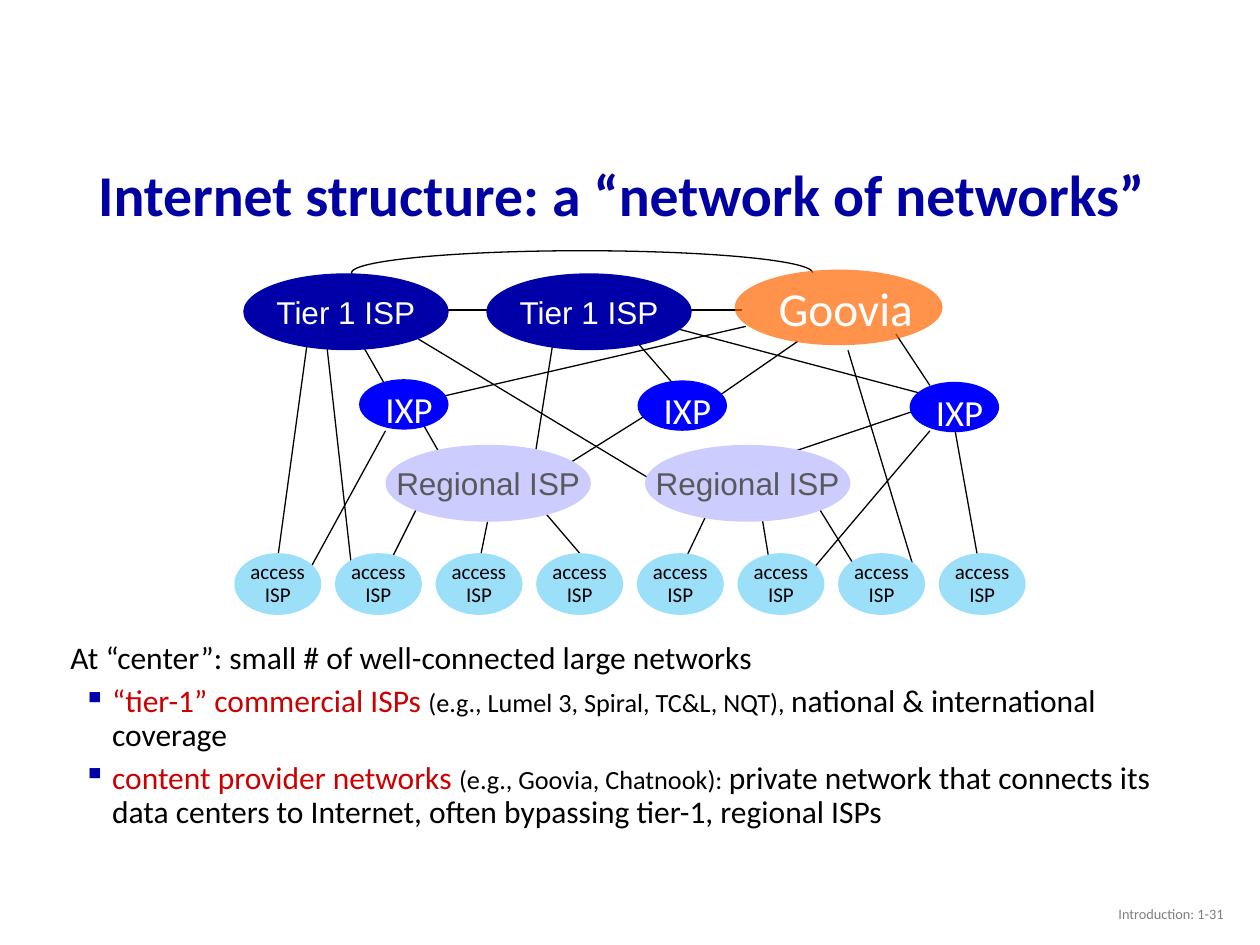
import lxml.etree
import pptx
import pptx.dml.color
import pptx.enum.shapes
import pptx.enum.text
import pptx.oxml.ns
import pptx.util

Pt = pptx.util.Pt
qn = pptx.oxml.ns.qn
Align = pptx.enum.text.PP_ALIGN
Anchor = pptx.enum.text.MSO_ANCHOR
Shape = pptx.enum.shapes.MSO_SHAPE


def color(value):
    return pptx.dml.color.RGBColor.from_string(value)


def write(shape, text, size, font, ink, align=Align.LEFT, anchor=Anchor.MIDDLE, wrap=False):
    frame = shape.text_frame
    frame.text = text
    frame.word_wrap = wrap
    frame.vertical_anchor = anchor
    for para in frame.paragraphs:
        para.alignment = align
        for span in para.runs:
            span.font.size = Pt(size)
            span.font.name = font
            span.font.color.rgb = color(ink)
    return frame


deck = pptx.Presentation()
deck.slide_width, deck.slide_height = Pt(720), Pt(540)
page = deck.slides.add_slide(deck.slide_layouts[6])
shapes = page.shapes

title = shapes.add_textbox(Pt(49), Pt(87), Pt(620.6), Pt(52.6))
frame = write(title, "Internet structure: a “network of networks”", 33, "Calibri", "0000A3", wrap=True)
frame.paragraphs[0].line_spacing = 0.9
frame.paragraphs[0].runs[0].font.bold = True

footer = shapes.add_textbox(Pt(544.3), Pt(507.6), Pt(162), Pt(28.8))
write(footer, "Introduction: 1-31", 8.2, "Calibri", "808080", Align.RIGHT, wrap=True)

links = [
    (177.1, 185, 159.1, 316.1),
    (278.6, 298.1, 272.9, 326.2),
    (237.6, 291.6, 220.3, 326.2),
    (186.5, 195.1, 201.6, 330.5),
    (220.3, 246.2, 174.2, 330.5),
    (306, 286.6, 331.2, 316.1),
    (404.6, 292.3, 388.1, 326.9),
    (435.6, 296.6, 440.6, 326.9),
    (468.7, 291.6, 493.2, 331.2),
    (484.6, 200.2, 521.3, 321.8),
    (285.1, 177.1, 253.4, 177.1),
    (424.1, 177.1, 392.4, 177.1),
    (511.9, 190.8, 531.4, 220.3),
    (205.9, 195.1, 220.3, 220.3),
    (239, 237.6, 253.4, 262.8),
    (426.2, 186.5, 239, 229.7),
    (363.6, 195.1, 388.1, 223.2),
    (316.1, 195.1, 306, 258.5),
    (368.6, 237.6, 320.4, 267.8),
    (239, 193.7, 373.7, 275),
    (545.8, 246.2, 560.2, 326.9),
    (531.4, 246.2, 459.4, 331.2),
    (527, 233.3, 450, 259.2),
    (455.8, 195.1, 406.8, 229),
    (384.5, 187.2, 528.5, 225.4),
]
for ends in links:
    link = shapes.add_connector(pptx.enum.shapes.MSO_CONNECTOR.STRAIGHT, *map(Pt, ends))
    link.line.color.rgb = color("000000")
    link.line.width = Pt(0.75)
    lxml.etree.SubElement(link._element.spPr, qn("a:effectLst"))

arc = shapes.add_shape(Shape.ARC, Pt(200.9), Pt(143.3), Pt(263.5), Pt(25.2))
arc.adjustments[0] = 106.82
arc.adjustments[1] = 0
arc.shadow.inherit = False
arc.fill.background()
arc.line.color.rgb = color("000000")
arc.line.width = Pt(0.75)

tier, regional = ("Tier 1 ISP", 18, "Arial", "FFFFFF"), ("Regional ISP", 18, "Arial", "595959")
access = ("access\nISP", 12, "Calibri", "000000")
nodes = [
    (139, 156.2, 117.4, 43.9, "0000A8", tier),
    (277.9, 156.2, 117.4, 43.9, "0000A8", tier),
    (220.3, 254.2, 117.4, 43.9, "CCCCFF", regional),
    (368.6, 254.2, 117.4, 43.9, "CCCCFF", regional),
]
nodes += [(133.9 + 57.5 * i, 316.1, 49.7, 35.3, "9CDFF9", access) for i in range(8)]
exchanges = [(205.2, 216.7), (364.3, 217.4), (519.8, 218.2)]
nodes += [(left, top, 51.1, 28.8, "0000FF", None) for left, top in exchanges]
nodes.append((419.8, 154.1, 118.8, 43.2, "FF6600", None))
for left, top, width, height, fill, label in nodes:
    node = shapes.add_shape(Shape.OVAL, Pt(left), Pt(top), Pt(width), Pt(height))
    node.shadow.inherit = False
    node.fill.solid()
    node.fill.fore_color.rgb = color(fill)
    node.line.fill.background()
    if label:
        frame = write(node, *label, align=Align.CENTER)
        if label is access:
            for para in frame.paragraphs:
                para.line_spacing = 0.9
provider_fill = node._element.spPr.find(qn("a:solidFill"))
lxml.etree.SubElement(provider_fill[0], qn("a:alpha"), val="70000")

captions = [(left + 7.9, top + 0.7, 41.8, 32.4, "IXP", 21) for left, top in exchanges]
captions.append((437.8, 156.2, 92.9, 40.3, "Goovia", 27))
for left, top, width, height, text, size in captions:
    caption = shapes.add_textbox(Pt(left), Pt(top), Pt(width), Pt(height))
    frame = write(caption, text, size, "Calibri", "FFFFFF", anchor=Anchor.TOP)
    frame.auto_size = pptx.enum.text.MSO_AUTO_SIZE.SHAPE_TO_FIT_TEXT

body = shapes.add_textbox(Pt(31.7), Pt(364.3), Pt(666), Pt(108))
frame = body.text_frame
frame.word_wrap = True
frame.margin_left = frame.margin_right = Pt(5)
frame.margin_top = frame.margin_bottom = Pt(3)
points = [
    [("At “center”: small # of well-connected large networks", 18, "000000")],
    [
        ("“tier-1” commercial ISPs ", 18, "CC0000"),
        ("(e.g., Lumel 3, Spiral, TC&L, NQT), ", 15, "000000"),
        ("national & international coverage", 18, "000000"),
    ],
    [
        ("content provider networks ", 18, "CC0000"),
        ("(e.g., Goovia, Chatnook): ", 15, "000000"),
        ("private network that connects its data centers to Internet, "
         "often bypassing tier-1, regional ISPs", 18, "000000"),
    ],
]
for index, spans in enumerate(points):
    para = frame.add_paragraph() if index else frame.paragraphs[0]
    props = para._p.get_or_add_pPr()
    props.set("marL", str(Pt(27.4 if index else 3.6)))
    props.set("indent", str(Pt(-16.6 if index else 0)))
    if index:
        para.level = 1
        bullet_color = lxml.etree.SubElement(props, qn("a:buClr"))
        lxml.etree.SubElement(bullet_color, qn("a:srgbClr"), val="0000A8")
        lxml.etree.SubElement(props, qn("a:buChar"), char="▪")
        para.space_before = Pt(5)
    para.line_spacing = 0.9
    for text, size, ink in spans:
        span = para.add_run()
        span.text = text
        span.font.size = Pt(size)
        span.font.name = "Calibri"
        span.font.color.rgb = color(ink)

deck.save("out.pptx")
